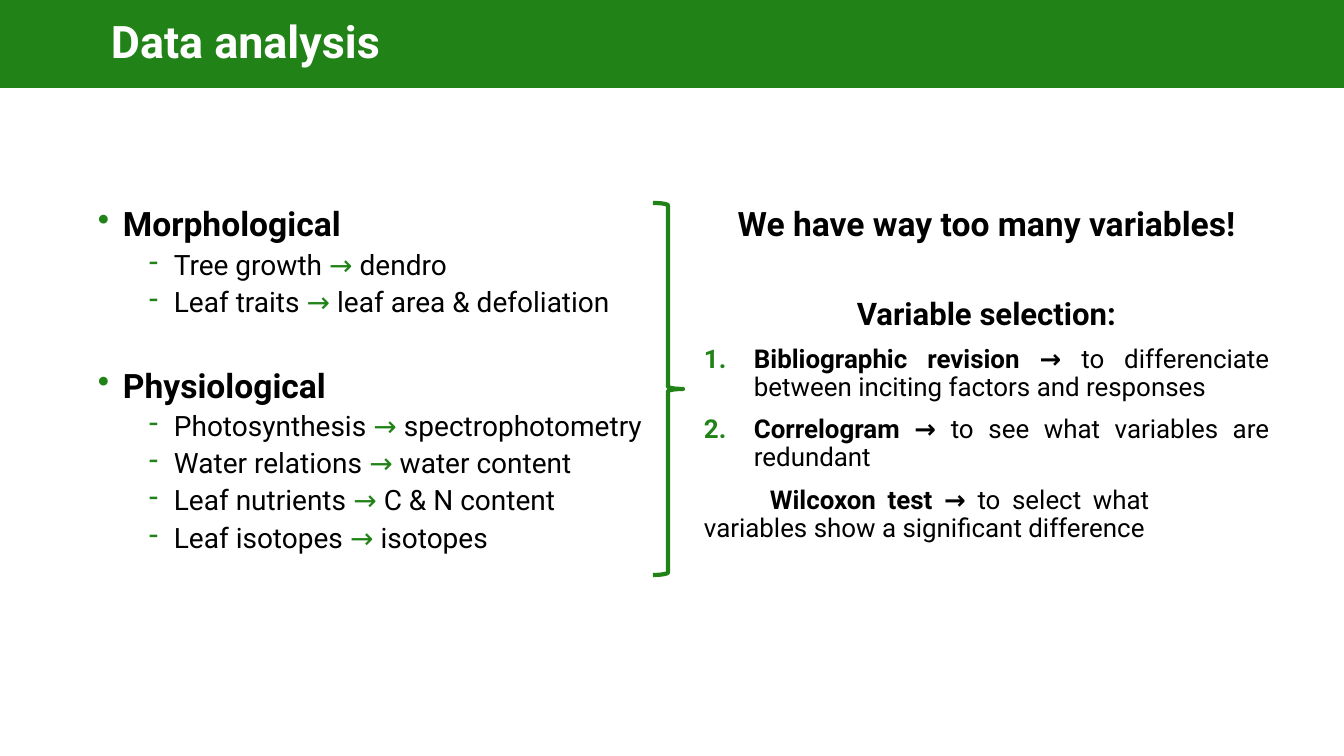
"""Build the data analysis slide: measured traits, a brace and the variable selection."""
from lxml import etree
from pptx import Presentation
from pptx import util as u
from pptx.dml.color import RGBColor
from pptx.enum import shapes, text
from pptx.oxml.ns import qn

HUES = {"green": "218317", "black": "000000", "white": "FFFFFF"}
FONT = "Roboto"
PX = 914400 / 100.8

TITLE = "Data analysis"
TRAITS = [
    ("Morphological", [("Tree growth", "dendro"),
                       ("Leaf traits", "leaf area & defoliation")]),
    ("Physiological", [("Photosynthesis", "spectrophotometry"),
                       ("Water relations", "water content"),
                       ("Leaf nutrients", "C & N content"),
                       ("Leaf isotopes", "isotopes")]),
]
CLAIM = "We have way too many variables!"
HEAD = "Variable selection:"
STEPS = [
    ("Bibliographic revision", "to differenciate between inciting factors and responses"),
    ("Correlogram", "to see what variables are redundant"),
]
TEST = ("Wilcoxon test", "to select what variables show a significant difference")

BARS = [(0, 1068), (1068, 276)]
BAR_H = 88
LEFT = (88, 203, 585, 422)
CLAIM_BOX = (694, 203, 585, 54)
STEP_BOX = (694, 294, 585, 298)
BRACE = (653, 203, 30, 372)


def emu(px):
    return u.Emu(round(px * PX))


def rgb(hue):
    return RGBColor.from_string(HUES[hue])


def add_shape(slide, kind, box):
    shape = slide.shapes.add_shape(kind, *map(emu, box))
    shape.shadow.inherit = False
    return shape


def add_box(slide, box):
    frame = slide.shapes.add_textbox(*map(emu, box)).text_frame
    frame.word_wrap = True
    return frame


def add_para(frame, runs, size, gap=10, align="LEFT", mark=None, **dents):
    """Add one paragraph from (text, hue, bold) runs."""
    first = not frame.paragraphs[0].runs
    para = frame.paragraphs[0] if first else frame.add_paragraph()
    para.alignment = getattr(text.PP_ALIGN, align)
    para.line_spacing = 0.9
    para.space_before = u.Pt(0 if first else gap)
    props = para._p.get_or_add_pPr()
    for name, px in dents.items():
        props.set(name, str(emu(px)))
    if mark:
        tint = etree.SubElement(props, qn("a:buClr"))
        etree.SubElement(tint, qn("a:srgbClr")).set("val", HUES["green"])
        if mark == "1.":
            etree.SubElement(props, qn("a:buAutoNum")).set("type", "arabicPeriod")
        else:
            etree.SubElement(props, qn("a:buChar")).set("char", mark)
    for words, hue, bold in runs:
        run = para.add_run()
        run.text = words
        run.font.name, run.font.size, run.font.bold = FONT, u.Pt(size), bold
        run.font.color.rgb = rgb(hue)


def add_title(slide):
    for left, width in BARS:
        bar = add_shape(slide, shapes.MSO_SHAPE.RECTANGLE, (left, 0, width, BAR_H))
        bar.fill.solid()
        bar.fill.fore_color.rgb = rgb("green")
        bar.line.fill.background()
        if left == 0:
            frame = bar.text_frame
            frame.margin_left = emu(111)
            frame.vertical_anchor = text.MSO_ANCHOR.MIDDLE
            add_para(frame, [(TITLE, "white", True)], 32)


def add_traits(slide):
    frame = add_box(slide, LEFT)
    for group, items in TRAITS:
        add_para(frame, [(group, "black", True)], 24, gap=36, mark="•",
                 marL=25, indent=-25)
        for trait, how in items:
            runs = [(trait + " ", "black", False), ("→ ", "green", False),
                    (how, "black", False)]
            add_para(frame, runs, 20, gap=5, mark="-", marL=76, indent=-25)


def add_steps(slide):
    add_para(add_box(slide, CLAIM_BOX), [(CLAIM, "black", True)], 24, align="CENTER")
    frame = add_box(slide, STEP_BOX)
    add_para(frame, [(HEAD, "black", True)], 22.2, align="CENTER")
    numbered = dict(mark="1.", marL=50, indent=-50)
    plain = dict(marL=0, marR=120, indent=66)
    for (name, aim), style in [(step, numbered) for step in STEPS] + [(TEST, plain)]:
        runs = [(name + " → ", "black", True), (aim, "black", False)]
        add_para(frame, runs, 18.5, align="JUSTIFY", **style)


def add_brace(slide):
    brace = add_shape(slide, shapes.MSO_SHAPE.RIGHT_BRACE, BRACE)
    brace.fill.background()
    brace.line.color.rgb = rgb("green")
    brace.line.width = u.Pt(3)


def main():
    deck = Presentation()
    deck.slide_width, deck.slide_height = emu(1344), emu(756)
    slide = deck.slides.add_slide(deck.slide_layouts[6])
    add_traits(slide)
    add_title(slide)
    add_steps(slide)
    add_brace(slide)
    deck.save("out.pptx")


if __name__ == "__main__":
    main()
